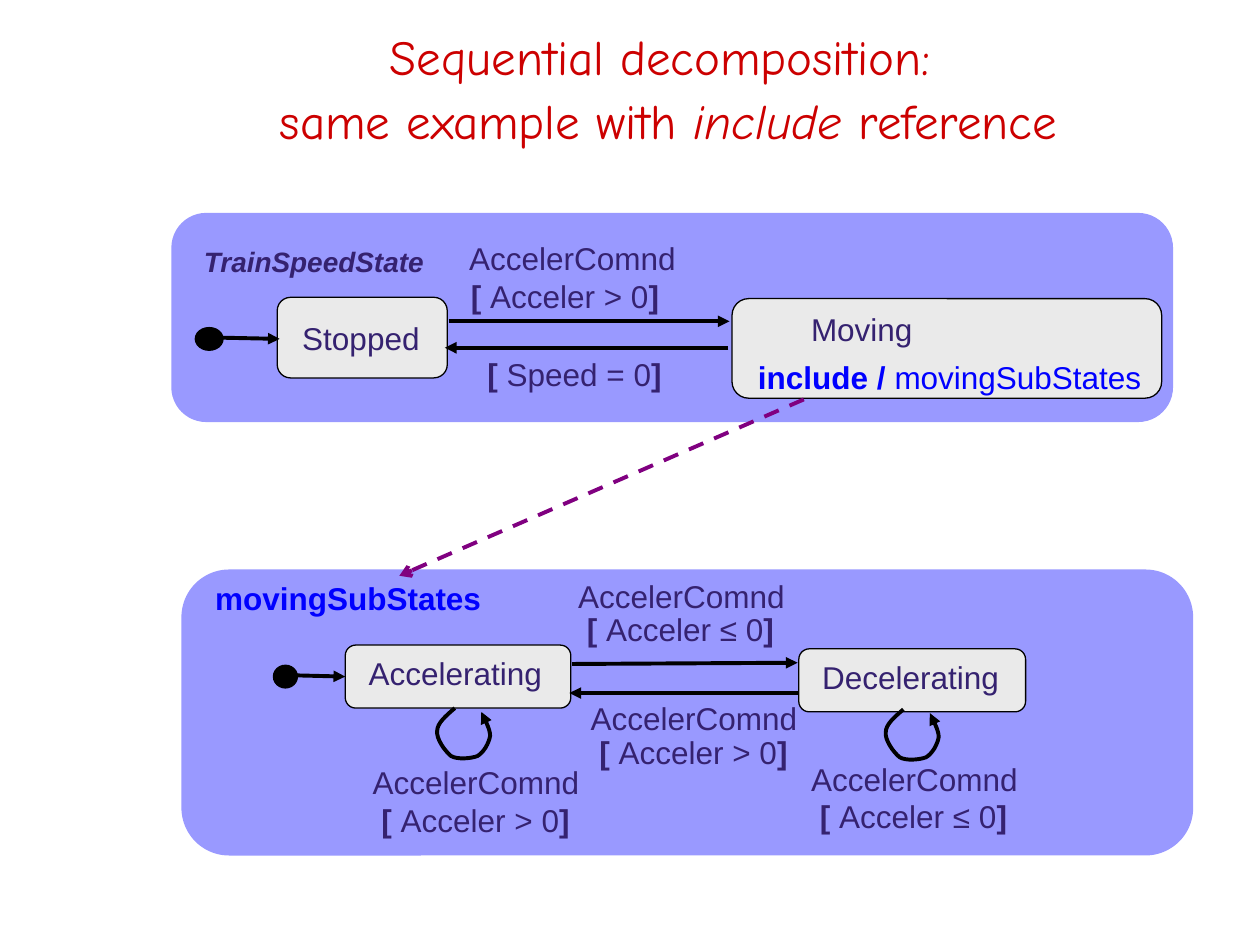
from dataclasses import dataclass
from typing import Any

from lxml import etree
from pptx import Presentation
from pptx.dml.color import RGBColor
from pptx.enum import dml, shapes, text
from pptx.oxml import ns
from pptx.util import Inches, Pt

RED = RGBColor(0xCC, 0x00, 0x00)
INDIGO = RGBColor(0x35, 0x22, 0x70)
BLUE = RGBColor(0x00, 0x00, 0xFF)
LILAC = RGBColor(0x99, 0x99, 0xFF)
GRAY = RGBColor(0xEA, 0xEA, 0xEA)
BLACK = RGBColor(0x00, 0x00, 0x00)
PURPLE = RGBColor(0x80, 0x00, 0x80)

BOLD = {"bold": True}
BLUE_TEXT = {"color": BLUE}
BLUE_BOLD = {"color": BLUE, "bold": True}
SERIF = {"name": "Times New Roman"}


@dataclass
class Diagram:
    slide: Any
    font: str = "Arial"
    size: float = 18
    color: RGBColor = INDIGO
    stroke: float = 2.25

    def add_run(self, paragraph, words, name=None, size=None, color=None, bold=False, italic=False):
        run = paragraph.add_run()
        run.text = words
        run.font.name = name or self.font
        run.font.size = Pt(size or self.size)
        run.font.color.rgb = color or self.color
        run.font.bold = bold
        run.font.italic = italic

    def fill_text(self, frame, lines, spacing=1.0, before=0):
        frame.word_wrap = True
        frame.vertical_anchor = text.MSO_ANCHOR.TOP
        for index, runs in enumerate(lines):
            paragraph = frame.paragraphs[0] if index == 0 else frame.add_paragraph()
            paragraph.alignment = text.PP_ALIGN.LEFT
            if index == len(lines) - 1:
                paragraph.line_spacing = spacing
            if index:
                paragraph.space_before = Pt(before)
            for words, style in runs:
                self.add_run(paragraph, words, **style)

    def title(self, left, top, width, height, runs):
        shape = self.slide.shapes.title
        shape.left, shape.top = Inches(left), Inches(top)
        shape.width, shape.height = Inches(width), Inches(height)
        frame = shape.text_frame
        frame.auto_size = text.MSO_AUTO_SIZE.NONE
        frame.vertical_anchor = text.MSO_ANCHOR.MIDDLE
        paragraph = frame.paragraphs[0]
        paragraph.alignment = text.PP_ALIGN.CENTER
        paragraph.line_spacing = 1.1
        for words, italic in runs:
            if words == "\n":
                paragraph.add_line_break()
            else:
                self.add_run(paragraph, words, "Comic Neue", 28, RED, italic=italic)

    def label(self, left, top, width, height, lines, spacing=1.0):
        box = self.slide.shapes.add_textbox(Inches(left), Inches(top), Inches(width), Inches(height))
        self.fill_text(box.text_frame, lines, spacing)

    def shape(self, kind, left, top, width, height, fill, outlined=True):
        shape = self.slide.shapes.add_shape(kind, Inches(left), Inches(top), Inches(width), Inches(height))
        shape.shadow.inherit = False
        shape.fill.solid()
        shape.fill.fore_color.rgb = fill
        if outlined:
            shape.line.color.rgb = BLACK
            shape.line.width = Pt(0.75)
        else:
            shape.line.fill.background()
        return shape

    def region(self, left, top, width, height):
        self.shape(shapes.MSO_SHAPE.ROUNDED_RECTANGLE, left, top, width, height, LILAC, False)

    def state(self, left, top, width, height, lines, spacing=1.0, before=0):
        shape = self.shape(shapes.MSO_SHAPE.ROUNDED_RECTANGLE, left, top, width, height, GRAY)
        self.fill_text(shape.text_frame, lines, spacing, before)
        return shape

    def start_dot(self, left, top, width, height):
        self.shape(shapes.MSO_SHAPE.OVAL, left, top, width, height, BLACK)

    def stroke_line(self, line, color, arrowhead):
        line.color.rgb = color
        line.width = Pt(self.stroke)
        etree.SubElement(line._get_or_add_ln(), ns.qn("a:tailEnd"), type=arrowhead)

    def arrow(self, start, end, color=BLACK, dashed=False, arrowhead="triangle"):
        points = [Inches(value) for value in (*start, *end)]
        connector = self.slide.shapes.add_connector(shapes.MSO_CONNECTOR.STRAIGHT, *points)
        if dashed:
            connector.line.dash_style = dml.MSO_LINE.DASH
        self.stroke_line(connector.line, color, arrowhead)
        etree.SubElement(connector._element.spPr, ns.qn("a:effectLst"))

    def self_loop(self, left, top):
        start = (0.15, 0)
        curves = [
            ((0.08, 0.06), (0.01, 0.12), (0.01, 0.18)),
            ((0, 0.24), (0.07, 0.34), (0.12, 0.38)),
            ((0.17, 0.41), (0.28, 0.40), (0.33, 0.38)),
            ((0.38, 0.35), (0.42, 0.28), (0.43, 0.22)),
            ((0.43, 0.16), (0.39, 0.10), (0.36, 0.03)),
        ]
        points = []
        previous = start
        for first, second, last in curves:
            for step in range(1, 9):
                t = step / 8
                points.append(tuple(
                    (1 - t) ** 3 * a + 3 * (1 - t) ** 2 * t * b + 3 * (1 - t) * t ** 2 * c + t ** 3 * d
                    for a, b, c, d in zip(previous, first, second, last)))
            previous = last
        builder = self.slide.shapes.build_freeform(Inches(left + start[0]), Inches(top + start[1]))
        builder.add_line_segments([(Inches(left + x), Inches(top + y)) for x, y in points], close=False)
        loop = builder.convert_to_shape()
        loop.shadow.inherit = False
        loop.fill.background()
        self.stroke_line(loop.line, BLACK, "triangle")


def guard(condition, lead=True):
    runs = [("[ ", BOLD), (condition, {}), ("]", BOLD)]
    return [(" ", BLUE_BOLD), *runs] if lead else runs


def event(condition, lead=""):
    return [[(lead + "AccelerComnd", {})], guard(condition)]


def main():
    presentation = Presentation()
    presentation.slide_width, presentation.slide_height = Inches(10), Inches(7.5)
    diagram = Diagram(presentation.slides.add_slide(presentation.slide_layouts[5]))

    diagram.title(0.84, 0.26, 8.93, 0.83, [
        ("Sequential decomposition: ", False), ("\n", False),
        ("same example with ", False), ("include", True), (" reference", False)])

    diagram.region(1.36, 1.69, 7.95, 1.66)
    diagram.label(1.52, 1.89, 1.98, 0.34,
                  [[("TrainSpeedState", {"size": 16, "bold": True, "italic": True})]])
    diagram.label(3.57, 1.85, 2.1, 0.57, event("Acceler > 0", " "))
    diagram.state(2.2, 2.36, 1.35, 0.64, [[(" Stopped", {})]], 1.3)
    diagram.arrow((1.75, 2.68), (2.22, 2.69))
    diagram.arrow((5.78, 2.76), (3.53, 2.76))
    diagram.label(3.77, 2.77, 1.78, 0.36, [guard("Speed = 0", False)])
    diagram.start_dot(1.55, 2.6, 0.22, 0.18)
    diagram.arrow((3.56, 2.55), (5.79, 2.55))
    moving = diagram.state(5.81, 2.37, 3.41, 0.79, [
        [("Moving", {})],
        [(" ", BLUE_TEXT), ("include / ", BLUE_BOLD), ("movingSubStates", BLUE_TEXT)]], before=6)
    properties = moving.text_frame.paragraphs[0]._p.get_or_add_pPr()
    properties.set("marL", str(Inches(0.49)))

    diagram.region(1.44, 4.52, 8.03, 2.27)
    diagram.state(2.74, 5.12, 1.79, 0.5, [[(" ", SERIF), ("Accelerating", {})]])
    diagram.state(6.34, 5.15, 1.8, 0.5, [[(" ", SERIF), ("Decelerating", {})]])
    diagram.start_dot(2.17, 5.28, 0.19, 0.18)
    diagram.arrow((2.34, 5.36), (2.74, 5.37))
    diagram.arrow((4.54, 5.27), (6.33, 5.26))
    diagram.arrow((6.34, 5.5), (4.52, 5.5))
    diagram.self_loop(3.46, 5.62)
    diagram.self_loop(7.02, 5.63)
    diagram.label(6.34, 5.98, 1.96, 0.57, event("Acceler ≤ 0"))
    diagram.label(4.49, 4.53, 1.86, 0.57, event("Acceler ≤ 0"), 0.9)
    diagram.label(2.86, 6.01, 1.88, 0.57, event("Acceler > 0"))
    diagram.label(4.59, 5.5, 1.94, 0.57, event("Acceler > 0"), 0.9)
    diagram.label(1.61, 4.55, 2.41, 0.36, [[("movingSubStates", BLUE_BOLD)]])
    diagram.arrow((6.38, 3.17), (3.17, 4.57), PURPLE, True, "arrow")

    presentation.save("out.pptx")


if __name__ == "__main__":
    main()
